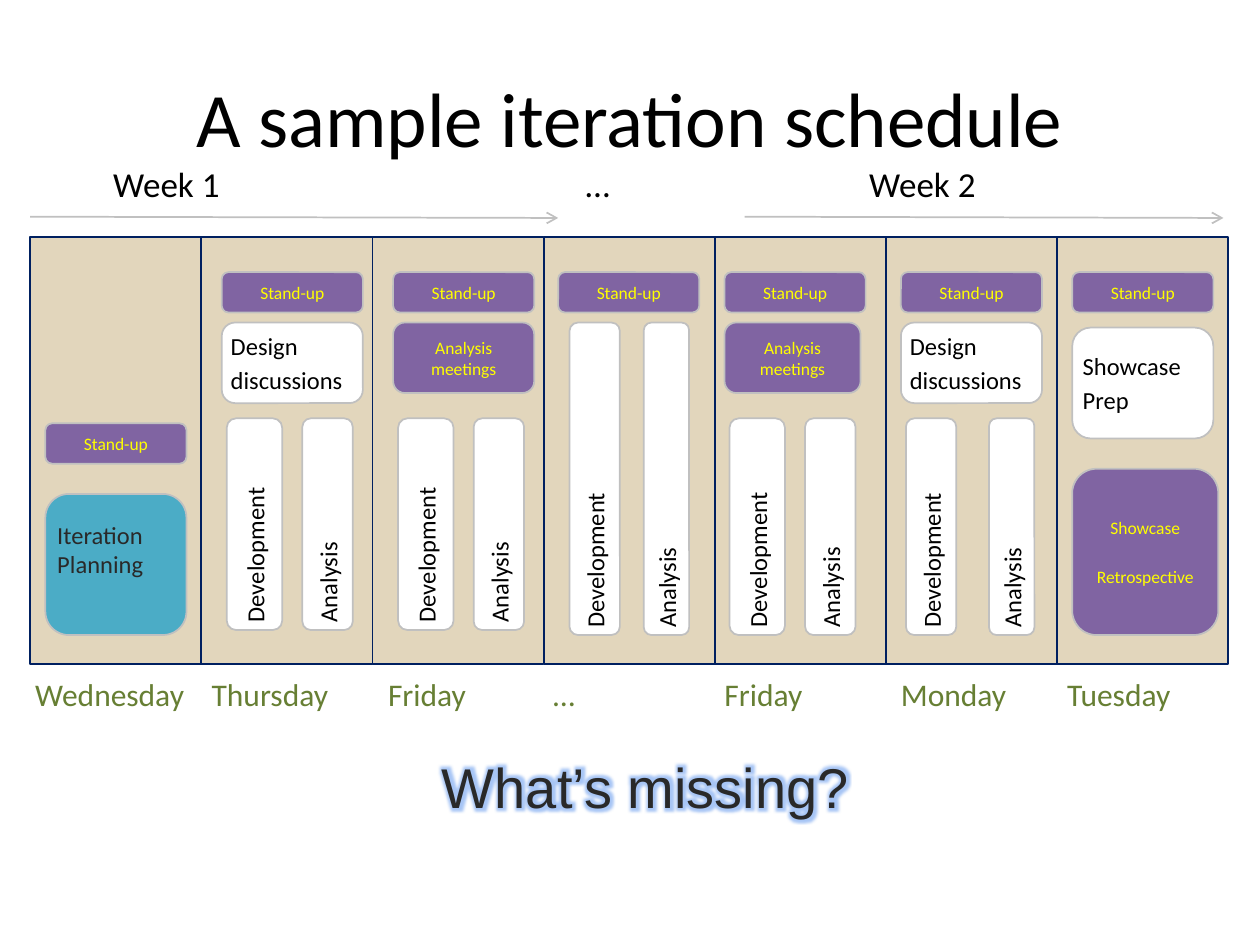
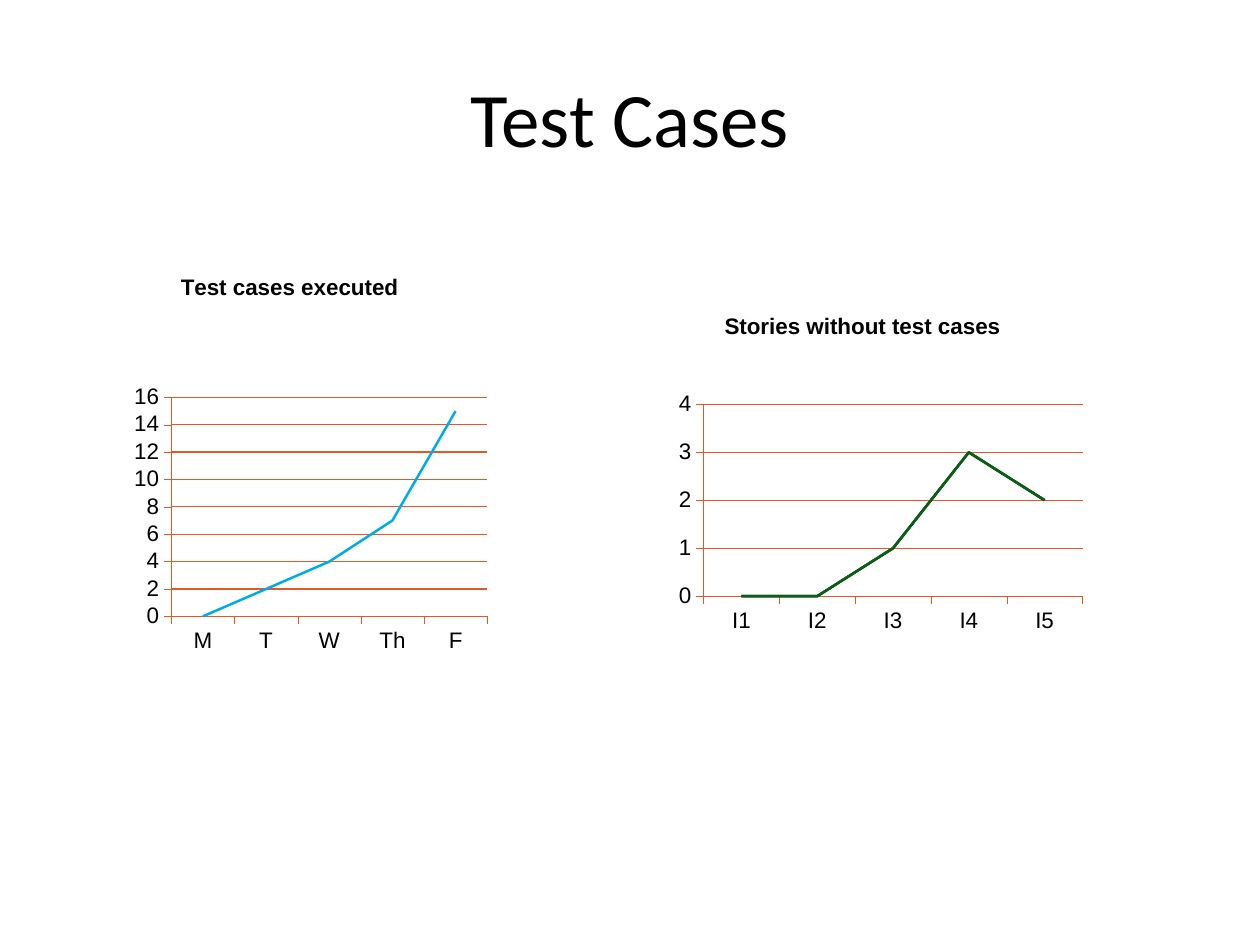
"""Build two slides: an iteration schedule and a pair of test case charts."""
from lxml import etree
from pptx import Presentation
from pptx import util as u
from pptx.chart import data
from pptx.dml.color import RGBColor
from pptx.enum import chart as charts, shapes, text
from pptx.oxml.ns import qn

BLACK = RGBColor(0x00, 0x00, 0x00)
CHARCOAL = RGBColor(0x29, 0x29, 0x29)
WHITE = RGBColor(0xFF, 0xFF, 0xFF)
SILVER = RGBColor(0xC0, 0xC0, 0xC0)
NAVY = RGBColor(0x00, 0x20, 0x60)
SAND = RGBColor(0xC4, 0xAB, 0x73)
PURPLE = RGBColor(0x80, 0x64, 0xA2)
YELLOW = RGBColor(0xFF, 0xFF, 0x00)
TEAL = RGBColor(0x4B, 0xAC, 0xC6)
OLIVE = RGBColor(0x67, 0x7F, 0x34)
ORANGE = RGBColor(0xE5, 0x57, 0x25)
SKY = RGBColor(0x00, 0xAB, 0xEA)
MAROON = RGBColor(0x90, 0x00, 0x00)
GREEN = RGBColor(0x00, 0x64, 0x11)
GLOW = RGBColor(0x6E, 0xA0, 0xF0)

COLUMNS = 250
FIRST_DAY, DAY_WIDTH, DAY_TOP, DAY_HEIGHT = 6, 33.96, 47, 84.75
BLOCK_WIDTH = 28

MEETING = (PURPLE, YELLOW, 10, text.PP_ALIGN.CENTER)
WORK = (WHITE, BLACK, 14, text.PP_ALIGN.LEFT)
PLANNING = (TEAL, CHARCOAL, 14, text.PP_ALIGN.LEFT)


def add_element(parent, tag, **attributes):
    """Append an XML element with the given attributes."""
    values = {name: str(value) for name, value in attributes.items()}
    return etree.SubElement(parent, qn(tag), values)


class Deck:
    """Hold the shared style and the current slide."""

    def __init__(self):
        """Start a four-by-three presentation."""
        self.presentation = Presentation()
        self.presentation.slide_width = u.Inches(10)
        self.presentation.slide_height = u.Inches(7.5)
        self.cell = self.presentation.slide_width / COLUMNS
        self.slide = None

    def grid(self, *cells):
        """Turn grid cells into slide lengths."""
        return [u.Emu(round(cell * self.cell)) for cell in cells]

    def add_slide(self, title):
        """Add a blank slide with a centred title."""
        self.slide = self.presentation.slides.add_slide(self.presentation.slide_layouts[6])
        frame = self.text_box((12.5, 7.5, 225, 31.25), title, 44, BLACK,
                              align=text.PP_ALIGN.CENTER).text_frame
        frame.vertical_anchor = text.MSO_ANCHOR.MIDDLE

    def add_lines(self, frame, lines, size, color, align, gap=0, font="Calibri"):
        """Fill a text frame with one paragraph per line."""
        for number, line in enumerate(lines):
            paragraph = frame.paragraphs[0] if number == 0 else frame.add_paragraph()
            paragraph.alignment = align
            if number:
                paragraph.space_before = u.Pt(gap)
            run = paragraph.add_run()
            run.text = line
            run.font.size = u.Pt(size)
            run.font.color.rgb = color
            run.font.name = font

    def inset(self, frame, *cells):
        """Set the left, top, right and bottom insets."""
        (frame.margin_left, frame.margin_top,
         frame.margin_right, frame.margin_bottom) = self.grid(*cells)

    def text_box(self, place, line, size, color, align=text.PP_ALIGN.LEFT,
                 font="Calibri", wrap=True):
        """Add a single-line text box."""
        box = self.slide.shapes.add_textbox(*self.grid(*place))
        box.text_frame.word_wrap = wrap
        self.add_lines(box.text_frame, [line], size, color, align, font=font)
        return box

    def shape(self, kind, place, fill, line):
        """Add a filled and outlined preset shape."""
        shape = self.slide.shapes.add_shape(kind, *self.grid(*place))
        shape.shadow.inherit = False
        shape.fill.solid()
        shape.fill.fore_color.rgb = fill
        shape.line.color.rgb = line
        shape.line.width = u.Pt(1)
        return shape

    def panel(self, place):
        """Add the translucent background of a day."""
        panel = self.shape(shapes.MSO_SHAPE.RECTANGLE, place, SAND, NAVY)
        color = panel.element.spPr.find(f"{qn('a:solidFill')}/{qn('a:srgbClr')}")
        add_element(color, "a:alpha", val=48000)

    def block(self, place, lines, style, gap=0, bottom=1, vertical=False):
        """Add a rounded activity block."""
        fill, color, size, align = style
        block = self.shape(shapes.MSO_SHAPE.ROUNDED_RECTANGLE, place, fill, SILVER)
        frame = block.text_frame
        frame.word_wrap = True
        frame.vertical_anchor = text.MSO_ANCHOR.MIDDLE
        self.inset(frame, 1, 1, 1, bottom)
        self.add_lines(frame, lines, size, color, align, gap)
        if vertical:
            block.element.txBody.bodyPr.set("vert", "vert270")

    def arrow(self, left, right, top):
        """Add a thin arrow pointing right."""
        arrow = self.slide.shapes.add_connector(
            shapes.MSO_CONNECTOR.STRAIGHT, *self.grid(left, top, right, top + 0.25))
        arrow.line.color.rgb = SILVER
        arrow.line.width = u.Pt(1)
        properties = arrow.element.spPr
        add_element(properties.find(qn("a:ln")), "a:tailEnd", type="arrow")
        add_element(properties, "a:effectLst")

    def tabs(self, box, *positions):
        """Set left tab stops in the first paragraph."""
        stops = add_element(box.text_frame.paragraphs[0]._p.get_or_add_pPr(), "a:tabLst")
        for position in self.grid(*positions):
            add_element(stops, "a:tab", pos=position, algn="l")

    def glow(self, box, color, radius):
        """Surround the text of a box with a glow."""
        fill = next(box.element.iter(qn("a:solidFill")))
        effects = etree.Element(qn("a:effectLst"))
        fill.addnext(effects)
        glow = add_element(effects, "a:glow", rad=u.Pt(radius))
        add_element(add_element(glow, "a:srgbClr", val=color), "a:alpha", val=60000)

    def chart_layout(self, parent, **shares):
        """Place a chart part by shares of the chart's size."""
        layout = parent.find(qn("c:layout"))
        if layout is None:
            layout = etree.Element(qn("c:layout"))
            parent.insert(0, layout)
        manual = add_element(layout, "c:manualLayout")
        if "w" in shares:
            add_element(manual, "c:layoutTarget", val="inner")
        for name in ("x", "y"):
            add_element(manual, f"c:{name}Mode", val="edge")
        for name, share in shares.items():
            add_element(manual, f"c:{name}", val=share)

    def line_chart(self, place, title, title_at, plot_at, categories, series, top, step):
        """Add a line chart; series pairs each colour with its values."""
        chart_data = data.CategoryChartData(number_format="0")
        chart_data.categories = categories
        for number, (_, values) in enumerate(series, 1):
            chart_data.add_series(f"Series {number}", values)
        chart = self.slide.shapes.add_chart(
            charts.XL_CHART_TYPE.LINE, *self.grid(*place), chart_data).chart
        chart.has_legend = False
        chart.font.name, chart.font.size = "Arial", u.Pt(12.8)
        chart.font.color.rgb = BLACK
        chart.has_title = True
        self.add_lines(chart.chart_title.text_frame, [title], 12.8, BLACK,
                       text.PP_ALIGN.CENTER, font="Arial")
        chart.chart_title.text_frame.paragraphs[0].runs[0].font.bold = True
        title_element = next(chart.element.iter(qn("c:title")))
        self.chart_layout(title_element, **dict(zip("xy", title_at)))
        self.chart_layout(next(chart.element.iter(qn("c:plotArea"))),
                          **dict(zip("xywh", plot_at)))
        for line, (color, _) in zip(chart.plots[0].series, series):
            line.smooth = False
            line.format.line.color.rgb = color
            line.format.line.width = u.Pt(1.42)
        chart.plots[0].vary_by_categories = False
        for axis in (chart.category_axis, chart.value_axis):
            axis.tick_label_position = charts.XL_TICK_LABEL_POSITION.LOW
            axis.major_tick_mark = charts.XL_TICK_MARK.OUTSIDE
            axis.minor_tick_mark = charts.XL_TICK_MARK.NONE
            axis.format.line.color.rgb = ORANGE
            axis.format.line.width = u.Pt(0.18)
        values = chart.value_axis
        values.minimum_scale, values.maximum_scale, values.major_unit = 0, top, step
        values.tick_labels.number_format = "0"
        values.tick_labels.number_format_is_linked = False
        grid_line = values.major_gridlines.format.line
        grid_line.color.rgb = ORANGE
        grid_line.width = u.Pt(0.71)
        for crossing in chart.element.iter(qn("c:crossBetween")):
            crossing.set("val", "midCat")


def build_schedule(deck):
    """Build the iteration schedule."""
    deck.add_slide("A sample iteration schedule")
    days = [("Wednesday", 7, 9, 84), ("Thursday", 42, 44, 54), ("Friday", 77, 78, 54),
            ("…", 109.75, 110.75, 54), ("Friday", 143.75, 143.75, 54),
            ("Monday", 178.75, 178.75, 54), ("Tuesday", 211.75, 212.75, 54)]
    for number, (name, label_left, left, top) in enumerate(days):
        deck.panel((FIRST_DAY + number * DAY_WIDTH, DAY_TOP, DAY_WIDTH, DAY_HEIGHT))
        deck.block((left, top, BLOCK_WIDTH, 8), ["Stand-up"], MEETING)
        label = deck.text_box((label_left, 134, 31, 14), name, 18, OLIVE)
        deck.inset(label.text_frame, 0, 0, 0, 0)

    deck.block((9, 98, BLOCK_WIDTH, 28), ["Iteration", "Planning"], PLANNING, bottom=7)
    for left in (44, 178.75):
        deck.block((left, 64, BLOCK_WIDTH, 16), ["Design", "discussions"], WORK, gap=2.8)
    for left, width in ((78, BLOCK_WIDTH), (143.75, 27)):
        deck.block((left, 64, width, 14), ["Analysis meetings"], MEETING)
    deck.block((212.75, 65, BLOCK_WIDTH, 22), ["Showcase", "Prep"], WORK, gap=2.8)
    deck.block((212.75, 93, 29, 33), ["Showcase", "Retrospective"], MEETING, gap=16)

    for development, analysis, top, height, width in (
            (45, 60, 83, 42, 11), (79, 94, 83, 42, 11), (113, 127.75, 64, 62, 10),
            (144.75, 159.75, 83, 43, 11), (179.75, 196.25, 83, 43, 10)):
        deck.block((development, top, width, height), ["Development"], WORK, vertical=True)
        deck.block((analysis, top, width - 1, height), ["Analysis"], WORK, vertical=True)

    deck.arrow(6, 110.75, 43)
    deck.arrow(147.75, 242.75, 43)
    weeks = deck.text_box((20, 31, 218.5, 11), "Week 1\t…\tWeek 2", 20, BLACK)
    deck.tabs(weeks, 93.75, 150)
    question = deck.text_box((85.25, 148, 86.5, 16), "What’s missing?", 32, CHARCOAL,
                             font="Arial", wrap=False)
    deck.glow(question, GLOW, 8)


def build_test_cases(deck):
    """Build the two test case charts."""
    deck.add_slide("Test Cases")
    deck.line_chart((12.75, 50.5, 106.25, 94.5), "Test cases executed", (0.21, 0.03),
                    (0.2, 0.3, 0.59, 0.46), ["M", "T", "W", "Th", "F"],
                    [(SKY, (0, 2, 4, 7, 15))], 16, 2)
    stories = (0, 0, 1, 3, 2)
    deck.line_chart((125, 56.25, 112.25, 82.75), "Stories without test cases", (0.16, 0.06),
                    (0.13, 0.29, 0.67, 0.46), ["I1", "I2", "I3", "I4", "I5"],
                    [(color, stories) for color in (SKY, MAROON, GREEN)], 4, 1)


def main():
    """Build and save the presentation."""
    deck = Deck()
    build_schedule(deck)
    build_test_cases(deck)
    deck.presentation.save("out.pptx")


if __name__ == "__main__":
    main()
